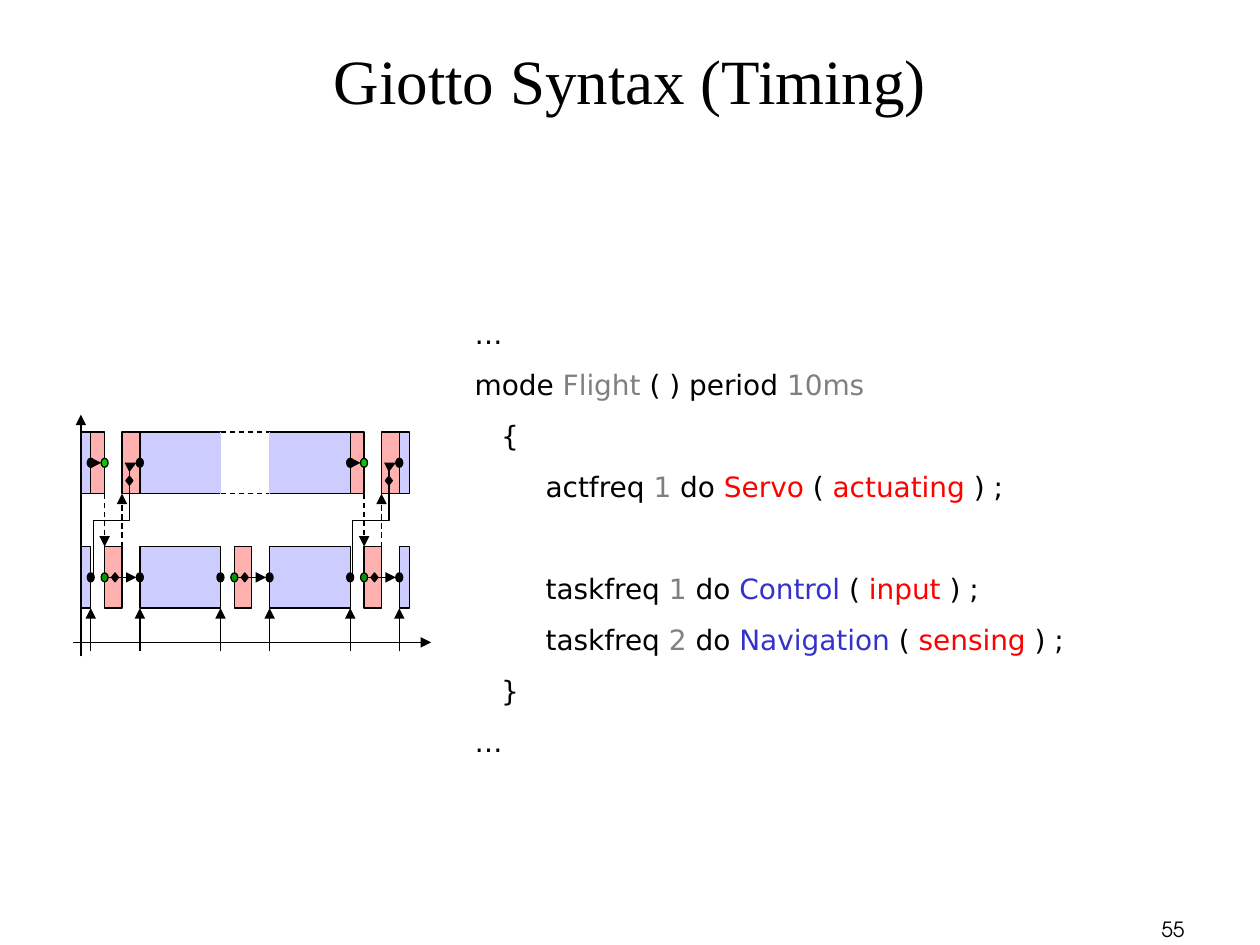
from lxml import etree
from pptx import Presentation
from pptx.dml.color import RGBColor
from pptx.enum.dml import MSO_LINE
from pptx.enum.shapes import MSO_CONNECTOR, MSO_SHAPE
from pptx.enum.text import MSO_ANCHOR, PP_ALIGN
from pptx.oxml.ns import qn
from pptx.util import Cm, Pt

RECT, OVAL, DIAMOND = MSO_SHAPE.RECTANGLE, MSO_SHAPE.OVAL, MSO_SHAPE.DIAMOND
STRAIGHT, ELBOW = MSO_CONNECTOR.STRAIGHT, MSO_CONNECTOR.ELBOW
DASH = MSO_LINE.DASH
LEFT, CENTER, RIGHT = PP_ALIGN.LEFT, PP_ALIGN.CENTER, PP_ALIGN.RIGHT
TOP, MIDDLE = MSO_ANCHOR.TOP, MSO_ANCHOR.MIDDLE

COLORS = {"black": "000000", "task": "CCCCFF", "driver": "FFB1AF",
          "port": "009900", "actuator": "00CC00", "gray": "808080",
          "red": "FF0000", "blue": "3333CC"}

# Diagram measures in cm
PERIOD = 5.23
HALF = PERIOD / 2
ORIGIN, TASK_END, SENSE, LOAD, TASK_START = 1.63, 1.83, 2.11, 2.46, 2.82
ROW_H, EDGE_W = 1.24, 0.2
TOP_ROW, LOW_ROW = 8.71, 11.02
TOP_MID, LOW_MID = TOP_ROW + ROW_H / 2, LOW_ROW + ROW_H / 2

CODE = [
    (0, [("…", "black")]),
    (10, [("mode", "black"), (" Flight ", "gray"), ("( ) period ", "black"),
          ("10ms", "gray")]),
    (10, [("   {", "black")]),
    (10, [("        actfreq ", "black"), ("1", "gray"), (" do ", "black"),
          ("Servo ", "red"), ("( ", "black"), ("actuating", "red"),
          (" ) ;", "black")]),
    (39, [("        taskfreq", "black"), (" 1 ", "gray"), ("do ", "black"),
          ("Control ", "blue"), ("( ", "black"), ("input", "red"),
          (" ) ;", "black")]),
    (10, [("        taskfreq", "black"), (" 2 ", "gray"), ("do ", "black"),
          ("Navigation ", "blue"), ("( ", "black"), ("sensing ", "red"),
          (") ;", "black")]),
    (10, [("   }", "black")]),
    (10, [("…", "black")]),
]


def rgb(name):
    return RGBColor.from_string(COLORS[name])


class Deck:
    """Current slide, its diagram group and the shared line style."""

    def __init__(self, prs):
        self.s = prs.slides.add_slide(prs.slide_layouts[5])
        self.group = self.s.shapes.add_group_shape()
        self.line_width = Pt(0.75)

    def fill_text(self, sp, paragraphs, size, font, align=LEFT, anchor=TOP):
        tf = sp.text_frame
        tf.word_wrap = True
        tf.vertical_anchor = anchor
        for i, (before, runs) in enumerate(paragraphs):
            p = tf.add_paragraph() if i else tf.paragraphs[0]
            p.alignment = align
            p.space_before = Pt(before)
            for text, color in runs:
                r = p.add_run()
                r.text = text
                r.font.size = Pt(size)
                r.font.name = font
                r.font.color.rgb = rgb(color)

    def title(self, text, x, y, w, h, size, font):
        sp = self.s.shapes.title
        sp.left, sp.top, sp.width, sp.height = Cm(x), Cm(y), Cm(w), Cm(h)
        self.fill_text(sp, [(0, [(text, "black")])], size, font, CENTER, MIDDLE)

    def text(self, paragraphs, x, y, w, h, size, font, align=LEFT):
        sp = self.s.shapes.add_textbox(Cm(x), Cm(y), Cm(w), Cm(h))
        self.fill_text(sp, paragraphs, size, font, align)

    def shape(self, kind, x, y, w, h, fill):
        sp = self.group.shapes.add_shape(kind, Cm(x), Cm(y), Cm(w), Cm(h))
        sp.shadow.inherit = False
        sp.fill.solid()
        sp.fill.fore_color.rgb = rgb(fill)
        sp.line.color.rgb = rgb("black")
        sp.line.width = self.line_width

    def block(self, x, end, row, fill):
        self.shape(RECT, x, row, end - x, ROW_H, fill)

    def mark(self, kind, x, y, fill="black"):
        """Small symbol centred on a point."""
        self.shape(kind, x - 0.07, y - 0.09, 0.14, 0.18, fill)

    def line(self, x1, y1, x2, y2, color="black", dash=None, arrow=False,
             kind=STRAIGHT):
        c = self.group.shapes.add_connector(kind, Cm(x1), Cm(y1), Cm(x2), Cm(y2))
        c.line.color.rgb = rgb(color)
        c.line.width = self.line_width
        if dash:
            c.line.dash_style = dash
        sp_pr = c.element.spPr
        if arrow:
            etree.SubElement(sp_pr.find(qn("a:ln")), qn("a:tailEnd"),
                             type="triangle")
        etree.SubElement(sp_pr, qn("a:effectLst"))
        return c

    def elbow(self, x1, y1, x2, y2, bend=None, arrow=False):
        """Leave (x1, y1) upwards; turn at share bend, or once at the top."""
        w, h = y1 - y2, x2 - x1
        left, top = (x1 + x2 - w) / 2, (y1 + y2 - h) / 2
        c = self.line(left, top, left + w, top + h, arrow=arrow, kind=ELBOW)
        xfrm = c.element.spPr.find(qn("a:xfrm"))
        for key, value in (("rot", "5400000"), ("flipH", "1"), ("flipV", "1")):
            xfrm.set(key, value)
        geom = c.element.spPr.find(qn("a:prstGeom"))
        if bend is None:
            geom.set("prst", "bentConnector2")
        else:
            etree.SubElement(geom.find(qn("a:avLst")), qn("a:gd"), name="adj1",
                             fmla=f"val {round(bend * 100000)}")


def draw_blocks(deck):
    for row in (TOP_ROW, LOW_ROW):
        deck.block(ORIGIN, ORIGIN + EDGE_W, row, "task")
        for t in (0, HALF):
            deck.block(TASK_START + t, TASK_END + HALF + t, row, "task")
        deck.block(TASK_START + PERIOD, TASK_START + PERIOD + EDGE_W, row, "task")
    for t in (0, PERIOD):
        deck.block(TASK_END + t, SENSE + t, TOP_ROW, "driver")
        deck.block(LOAD + t, TASK_START + t, TOP_ROW, "driver")
    for t in (0, HALF, PERIOD):
        deck.block(SENSE + t, LOAD + t, LOW_ROW, "driver")


def draw_lines(deck):
    gap, gap_end = TASK_END + HALF, TASK_START + HALF
    bottom = TOP_ROW + ROW_H
    for y in (TOP_ROW, bottom):
        deck.line(gap, y, gap_end, y, dash=DASH)
    for x in (gap, gap_end):
        deck.line(x, bottom, x, TOP_ROW, color="task")
    deck.line(ORIGIN, 13.23, ORIGIN, 8.36, arrow=True)
    deck.line(1.47, 12.95, 8.69, 12.95, arrow=True)
    for t in (0, HALF, PERIOD):
        for x in (TASK_END + t, TASK_START + t):
            deck.line(x, 13.13, x, LOW_ROW + ROW_H, arrow=True)
        deck.line(SENSE + t + 0.07, LOW_MID, TASK_START + t - 0.07, LOW_MID,
                  arrow=True)
    for t in (0, PERIOD):
        deck.line(TASK_END + t + 0.07, TOP_MID, SENSE + t - 0.07, TOP_MID,
                  arrow=True)
        deck.line(SENSE + t, bottom, SENSE + t, LOW_ROW, dash=DASH, arrow=True)
        deck.line(LOAD + t, LOW_ROW, LOAD + t, bottom, dash=DASH, arrow=True)
        deck.elbow(1.88 + t, 11.58, 2.61 + t, 9.78, bend=0.6)
        deck.elbow(2.61 + t, 9.6, 2.75 + t, TOP_MID, arrow=True)


def draw_marks(deck):
    for t in (0, HALF, PERIOD):
        for x in (TASK_END + t, TASK_START + t):
            deck.mark(OVAL, x, LOW_MID)
        deck.mark(OVAL, SENSE + t, LOW_MID, "port")
        deck.mark(DIAMOND, SENSE + t + 0.21, LOW_MID)
    for t in (0, PERIOD):
        for x in (TASK_END + t, TASK_START + t):
            deck.mark(OVAL, x, TOP_MID)
        deck.mark(OVAL, SENSE + t, TOP_MID, "actuator")
        deck.mark(DIAMOND, 2.61 + t, 9.69)


def main():
    prs = Presentation()
    prs.slide_width, prs.slide_height = Cm(25.4), Cm(19.05)
    deck = Deck(prs)
    draw_blocks(deck)
    draw_lines(deck)
    draw_marks(deck)
    deck.text(CODE, 9.32, 6.25, 15.67, 9.17, 16, "DejaVu Sans")
    deck.title("Giotto Syntax (Timing)", 1.27, 0, 22.86, 3.18, 36,
               "Times New Roman")
    deck.text([(0, [("55", "black")])], 18.85, 18.36, 5.28, 0.64, 12,
              "TeX Gyre Adventor", RIGHT)
    prs.save("out.pptx")


if __name__ == "__main__":
    main()
